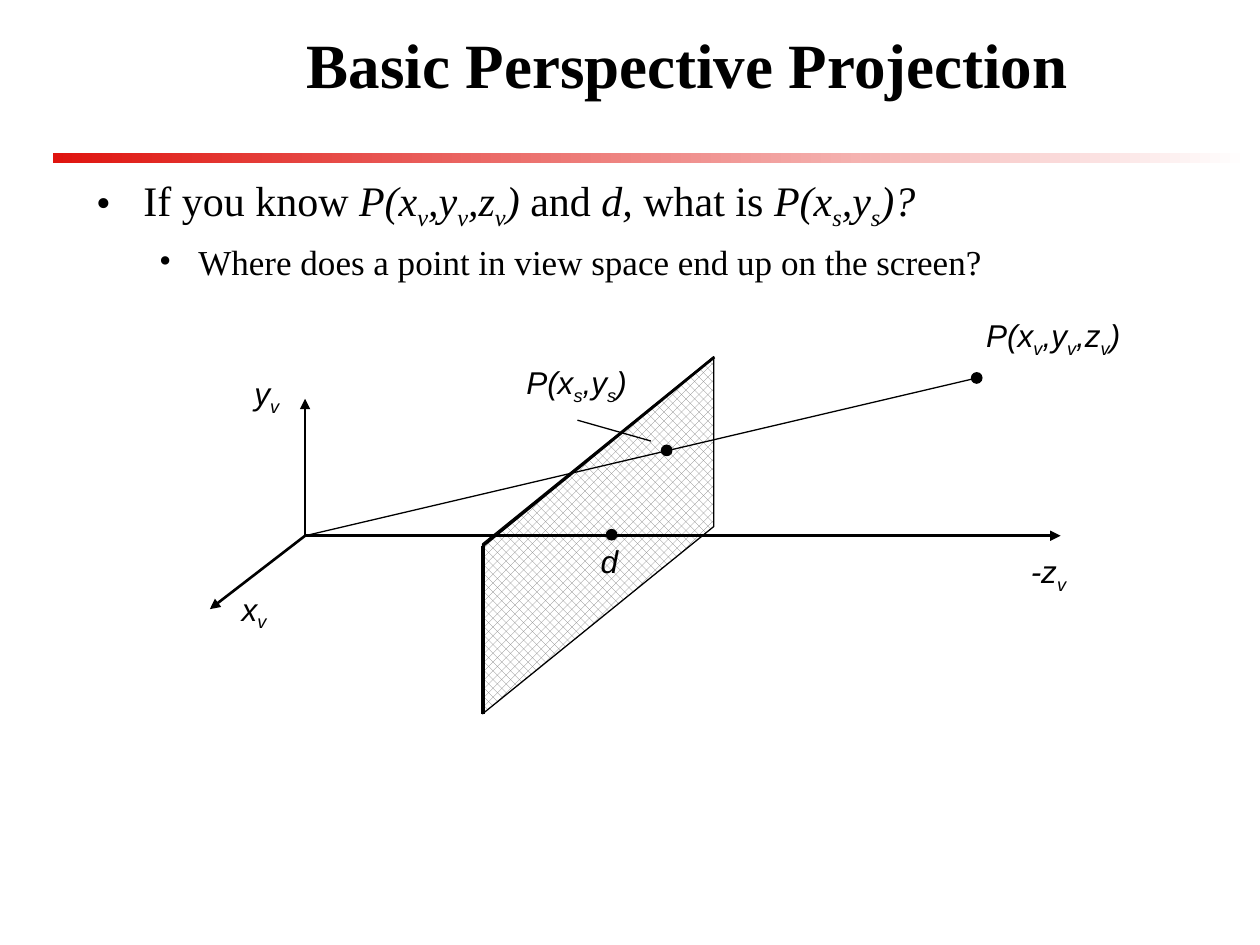
"""Build the slide that introduces basic perspective projection."""
from lxml import etree
from pptx import Presentation
from pptx.dml.color import RGBColor
from pptx.enum.dml import MSO_PATTERN
from pptx.enum.shapes import MSO_CONNECTOR, MSO_SHAPE
from pptx.enum.text import MSO_ANCHOR, PP_ALIGN
from pptx.oxml.ns import qn
from pptx.util import Cm, Pt

BLACK = RGBColor(0x00, 0x00, 0x00)
WHITE = RGBColor(0xFF, 0xFF, 0xFF)
GRAY = RGBColor(0x80, 0x80, 0x80)
RED = RGBColor(0xDF, 0x14, 0x0F)
STRAIGHT = MSO_CONNECTOR.STRAIGHT
RECTANGLE, OVAL, PARALLELOGRAM = MSO_SHAPE.RECTANGLE, MSO_SHAPE.OVAL, MSO_SHAPE.PARALLELOGRAM
SERIF, SANS = "Times New Roman", "Arial"


def add_text_frame(left, top, width, height, wrap):
    """Add a text box and return its text frame."""
    text_frame = slide.shapes.add_textbox(Cm(left), Cm(top), Cm(width), Cm(height)).text_frame
    text_frame.word_wrap = wrap
    return text_frame


def write_runs(paragraph, segments, name, size):
    """Write (text, italic) segments; every second part between bars is a subscript."""
    for text, italic in segments:
        for index, part in enumerate(text.split("|")):
            if not part:
                continue
            run = paragraph.add_run()
            run.text = part
            run.font.name = name
            run.font.size = Pt(size)
            run.font.italic = italic
            run.font.color.rgb = BLACK
            if index % 2:
                run.font._element.set("baseline", "-25000")


presentation = Presentation()
presentation.slide_width, presentation.slide_height = Cm(25.4), Cm(19.05)
slide = presentation.slides.add_slide(presentation.slide_layouts[6])

rule = slide.shapes.add_shape(RECTANGLE, Cm(1.06), Cm(3.08), Cm(24.13), Cm(0.21))
rule.shadow.inherit = False
rule.line.fill.background()
rule.fill.gradient()
rule.fill.gradient_angle = 0
for stop, color in zip(rule.fill.gradient_stops, (RED, WHITE)):
    stop.color.rgb = color

screen = slide.shapes.add_shape(PARALLELOGRAM, Cm(8.46), Cm(8.46), Cm(7.2), Cm(4.66))
screen.shadow.inherit = False
screen.adjustments[0] = 0.81
screen.rotation = 270
screen._element.spPr.find(qn("a:xfrm")).set("flipH", "1")
screen.fill.patterned()
screen.fill.pattern = MSO_PATTERN.PERCENT_50
screen.fill.fore_color.rgb = GRAY
screen.fill.back_color.rgb = WHITE
screen.line.color.rgb = BLACK
screen.line.width = Pt(0.75)

title = add_text_frame(2.96, 0.21, 21.8, 2.12, True)
title.vertical_anchor = MSO_ANCHOR.MIDDLE
title.text = "Basic Perspective Projection"
title.paragraphs[0].alignment = PP_ALIGN.CENTER
title_font = title.paragraphs[0].runs[0].font
title_font.name, title_font.size, title_font.bold = SERIF, Pt(36), True
title_font.color.rgb = BLACK

question = [("If you know ", False), ("P(x|v|,y|v|,z|v|) ", True), ("and", False),
            (" d, ", True), ("what is ", False), ("P(x|s|,y|s|)?", True)]
detail = [("Where does a point in view space end up on the screen?", False)]
body = add_text_frame(1.69, 3.39, 22.44, 3.49, True)
bullets = [(body.paragraphs[0], question, 24, 0.95, 0.95, 0),
           (body.add_paragraph(), detail, 20, 2.06, 0.79, 4.8)]
for paragraph, segments, size, margin, hanging, space in bullets:
    properties = paragraph._p.get_or_add_pPr()
    properties.set("marL", str(Cm(margin)))
    properties.set("indent", str(-Cm(hanging)))
    etree.SubElement(properties, qn("a:buFont")).set("typeface", SERIF)
    etree.SubElement(properties, qn("a:buChar")).set("char", "•")
    paragraph.space_before = Pt(space)
    write_runs(paragraph, segments, SERIF, size)

origin = (6.15, 10.8)
view_point = (19.69, 7.62)
screen_corner = (9.74, 11)
lines = [
    (origin, (21.38, 10.8), 1.5, True),
    (origin, (6.15, 8.04), 1.5, True),
    (origin, (4.23, 12.28), 1.5, True),
    (screen_corner, (9.74, 14.4), 2.25, False),
    (screen_corner, (14.4, 7.2), 1.5, False),
    (origin, view_point, 0.75, False),
    ((11.64, 8.47), (13.12, 8.89), 0.75, False),
]
for start, end, width, arrow in lines:
    connector = slide.shapes.add_connector(STRAIGHT, *map(Cm, start + end))
    connector.line.color.rgb = BLACK
    connector.line.width = Pt(width)
    if arrow:
        etree.SubElement(connector.line._get_or_add_ln(), qn("a:tailEnd")).set("type", "triangle")
    etree.SubElement(connector._element.spPr, qn("a:effectLst"))

diameter = 0.21
for x, y in [(13.44, 9.08), (12.33, 10.78), view_point]:
    dot = slide.shapes.add_shape(OVAL, Cm(x - diameter / 2), Cm(y - diameter / 2),
                                 Cm(diameter), Cm(diameter))
    dot.shadow.inherit = False
    dot.fill.solid()
    dot.fill.fore_color.rgb = BLACK
    dot.line.color.rgb = BLACK
    dot.line.width = Pt(0.75)

labels = [
    ("x|v|", 4.62, 11.76, 1.14),
    ("y|v|", 4.88, 7.42, 1.14),
    ("-z|v|", 20.53, 11, 1.37),
    ("d", 11.86, 10.8, 1.09),
    ("P(x|v|,y|v|,z|v|)", 19.63, 6.25, 3.86),
    ("P(x|s|,y|s|)", 10.36, 7.2, 3),
]
for text, left, top, width in labels:
    label = add_text_frame(left, top, width, 1.27, False)
    write_runs(label.paragraphs[0], [(text, True)], SANS, 18)

presentation.save("out.pptx")
